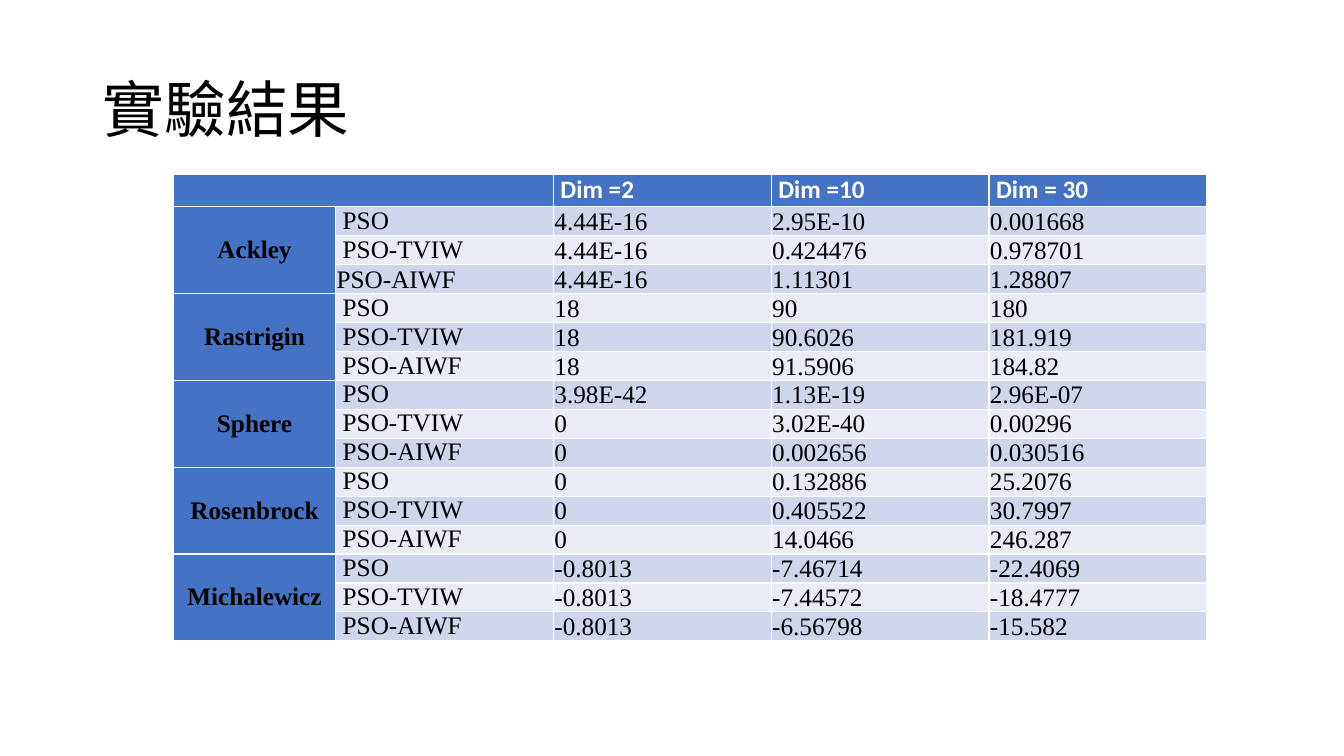
import pptx
import pptx.util
import pptx.dml.color
import pptx.enum.text
import pptx.oxml.ns
import lxml.etree

Inches = pptx.util.Inches
RGBColor = pptx.dml.color.RGBColor
PP_ALIGN = pptx.enum.text.PP_ALIGN
MSO_ANCHOR = pptx.enum.text.MSO_ANCHOR

BLACK = RGBColor(0x00, 0x00, 0x00)
WHITE = RGBColor(0xFF, 0xFF, 0xFF)
BLUE = RGBColor(0x44, 0x72, 0xC4)
BANDS = (RGBColor(0xCF, 0xD5, 0xEA), RGBColor(0xE9, 0xEB, 0xF5))

SLIDE_WIDTH, SLIDE_HEIGHT = Inches(13.33), Inches(7.5)
TITLE_FONT = "Noto Sans CJK SC"
WIDE_INSET, TIGHT_INSET = 0.07, 0.01
COLUMN_WIDTHS = (1.61, 2.16, 2.16, 2.16, 2.16)
HEADER_HEIGHT, ROW_HEIGHT = 0.32, 0.26

DIMENSIONS = ("Dim =2", "Dim =10", "Dim = 30")
METHODS = ("PSO", "PSO-TVIW", "PSO-AIWF")
RESULTS = {
    "Ackley": (
        ("4.44E-16", "2.95E-10", "0.001668"),
        ("4.44E-16", "0.424476", "0.978701"),
        ("4.44E-16", "1.11301", "1.28807"),
    ),
    "Rastrigin": (
        ("18", "90", "180"),
        ("18", "90.6026", "181.919"),
        ("18", "91.5906", "184.82"),
    ),
    "Sphere": (
        ("3.98E-42", "1.13E-19", "2.96E-07"),
        ("0", "3.02E-40", "0.00296"),
        ("0", "0.002656", "0.030516"),
    ),
    "Rosenbrock": (
        ("0", "0.132886", "25.2076"),
        ("0", "0.405522", "30.7997"),
        ("0", "14.0466", "246.287"),
    ),
    "Michalewicz": (
        ("-0.8013", "-7.46714", "-22.4069"),
        ("-0.8013", "-7.44572", "-18.4777"),
        ("-0.8013", "-6.56798", "-15.582"),
    ),
}


def box(left, top, width, height):
    return (int(SLIDE_WIDTH * left), int(SLIDE_HEIGHT * top),
            int(SLIDE_WIDTH * width), int(SLIDE_HEIGHT * height))


def place_title(slide, area, wording):
    title = slide.shapes.title
    title.left, title.top, title.width, title.height = area
    frame = title.text_frame
    frame.text = wording
    frame.vertical_anchor = MSO_ANCHOR.MIDDLE
    paragraph = frame.paragraphs[0]
    paragraph.alignment = PP_ALIGN.LEFT
    paragraph.line_spacing = 0.9
    run = paragraph.runs[0]
    run.font.size = pptx.util.Pt(44)
    run.font.name = TITLE_FONT
    run.font.color.rgb = BLACK
    east_asian = lxml.etree.SubElement(
        run.font._element, pptx.oxml.ns.qn("a:ea"))
    east_asian.set("typeface", TITLE_FONT)


def fill_cell(cell, wording, fill, font="Times New Roman", color=BLACK,
              bold=False, inset=WIDE_INSET, anchor=MSO_ANCHOR.TOP,
              alignment=PP_ALIGN.LEFT):
    cell.fill.solid()
    cell.fill.fore_color.rgb = fill
    cell.margin_left = cell.margin_right = Inches(inset)
    cell.margin_top = Inches(TIGHT_INSET if inset == TIGHT_INSET else 0)
    cell.margin_bottom = 0
    cell.vertical_anchor = anchor
    cell.text_frame.text = wording
    paragraph = cell.text_frame.paragraphs[0]
    paragraph.alignment = alignment
    paragraph.font.size = pptx.util.Pt(18)
    for run in paragraph.runs:
        run.font.size = pptx.util.Pt(18)
        run.font.name = font
        run.font.bold = bold
        run.font.color.rgb = color


def place_results(slide, area):
    row_count = 1 + len(RESULTS) * len(METHODS)
    table = slide.shapes.add_table(row_count, len(COLUMN_WIDTHS), *area).table
    table.first_col = True
    for column, width in zip(table.columns, COLUMN_WIDTHS):
        column.width = Inches(width)
    for row in table.rows:
        row.height = Inches(ROW_HEIGHT)
    table.rows[0].height = Inches(HEADER_HEIGHT)

    table.cell(0, 0).merge(table.cell(0, 1))
    fill_cell(table.cell(0, 0), "", BLUE)
    for column, dimension in enumerate(DIMENSIONS, 2):
        fill_cell(table.cell(0, column), dimension, BLUE,
                  font="Calibri", color=WHITE, bold=True)

    for group, (function, scores) in enumerate(RESULTS.items()):
        first = 1 + group * len(METHODS)
        heading = table.cell(first, 0)
        heading.merge(table.cell(first + len(METHODS) - 1, 0))
        fill_cell(heading, function, BLUE, bold=True,
                  anchor=MSO_ANCHOR.MIDDLE, alignment=PP_ALIGN.CENTER)
        for row, (method, values) in enumerate(zip(METHODS, scores), first):
            band = BANDS[(row - 1) % 2]
            tight = (function, method) == ("Ackley", "PSO-AIWF")
            fill_cell(table.cell(row, 1), method, band,
                      inset=TIGHT_INSET if tight else WIDE_INSET,
                      anchor=MSO_ANCHOR.MIDDLE if tight else MSO_ANCHOR.TOP)
            for column, value in enumerate(values, 2):
                fill_cell(table.cell(row, column), value, band,
                          inset=TIGHT_INSET, anchor=MSO_ANCHOR.MIDDLE)


def main():
    deck = pptx.Presentation()
    deck.slide_width, deck.slide_height = SLIDE_WIDTH, SLIDE_HEIGHT
    slide = deck.slides.add_slide(deck.slide_layouts[5])
    place_title(slide, box(0.069, 0.053, 0.863, 0.193), "實驗結果")
    place_results(slide, box(0.129, 0.231, 0.77, 0.56))
    deck.save("out.pptx")


if __name__ == "__main__":
    main()
